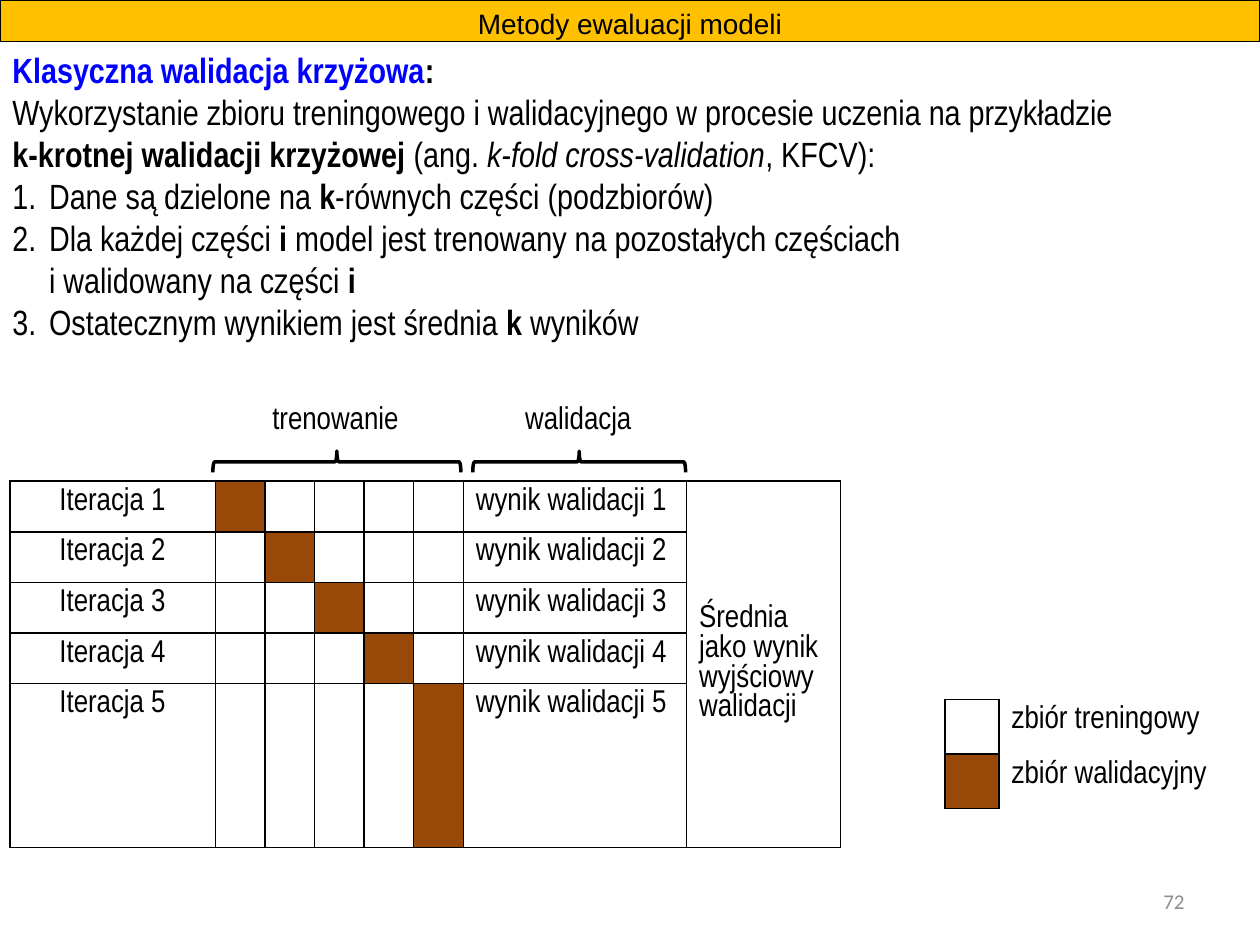
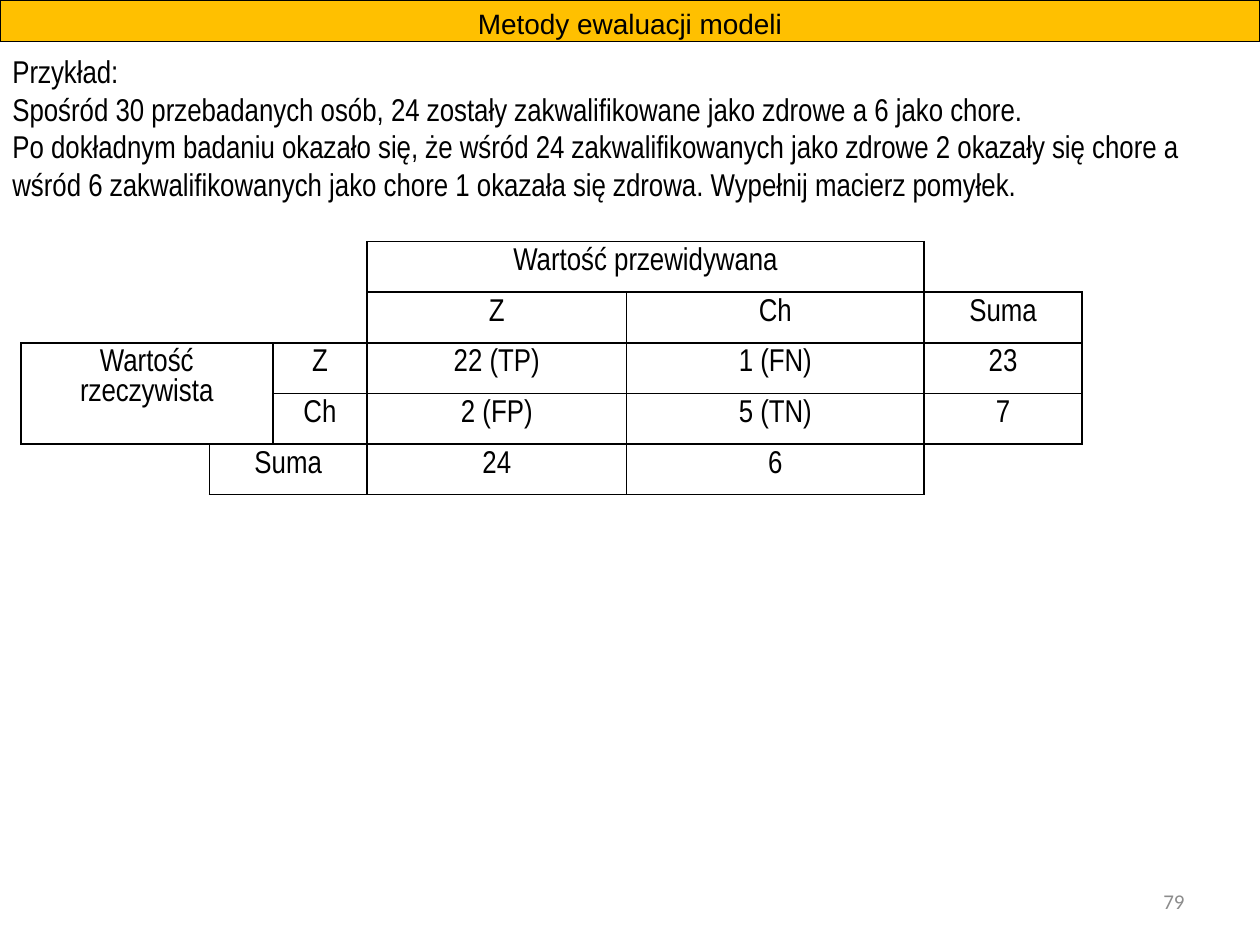
from lxml.etree import SubElement
from pptx import Presentation
from pptx.dml.color import RGBColor
from pptx.enum.shapes import MSO_SHAPE
from pptx.enum.text import MSO_ANCHOR, MSO_AUTO_SIZE, PP_ALIGN
from pptx.oxml.ns import qn
from pptx.util import Cm, Pt

COLORS = {
    "ink": "000000",
    "band": "FFC000",
    "heading": "0000FF",
    "validation": "984807",
    "page": "8C8C8C",
}
NO_STYLE = "{2D5ABB26-0587-4C30-8999-92F81FD0307C}"
BOLD = {"bold": True}
ITALIC = {"italic": True}
ROW = 1.02
FOLDS = 5


def rgb(name):
    return RGBColor.from_string(COLORS[name])


def number(paragraph):
    props = paragraph._p.get_or_add_pPr()
    props.set("marL", str(Cm(0.74)))
    props.set("indent", str(-Cm(0.74)))
    SubElement(props, qn("a:buFont"), typeface="+mj-lt")
    SubElement(props, qn("a:buAutoNum"), type="arabicPeriod")


def write(frame, text, size=18, font="Arial Narrow", color="ink",
          align=PP_ALIGN.LEFT, numbered_from=None):
    paragraphs = [text] if isinstance(text, str) else text
    for index, content in enumerate(paragraphs):
        paragraph = frame.paragraphs[0] if index == 0 else frame.add_paragraph()
        paragraph.alignment = align
        if numbered_from is not None and index >= numbered_from:
            number(paragraph)
        for part in [content] if isinstance(content, str) else content:
            words, style = (part, {}) if isinstance(part, str) else part
            for line_index, line in enumerate(words.split("\n")):
                if line_index:
                    paragraph.add_line_break()
                if not line:
                    continue
                run = paragraph.add_run()
                run.text = line
                run.font.name = font
                run.font.size = Pt(size)
                run.font.bold = style.get("bold", False)
                run.font.italic = style.get("italic", False)
                run.font.color.rgb = rgb(style.get("color", color))


def add_text(slide, left, top, width, height, text, inset=None,
             anchor=MSO_ANCHOR.TOP, **style):
    frame = slide.shapes.add_textbox(Cm(left), Cm(top), Cm(width), Cm(height)).text_frame
    frame.word_wrap = True
    frame.vertical_anchor = anchor
    if inset is not None:
        frame.margin_left = frame.margin_right = Cm(inset)
        frame.margin_top = frame.margin_bottom = Cm(inset)
    write(frame, text, **style)


def set_borders(cell, sides):
    props = cell._tc.get_or_add_tcPr()
    for side in "LRTB":
        line = SubElement(props, qn(f"a:ln{side}"), w=str(Pt(1)))
        if side in sides:
            fill = SubElement(line, qn("a:solidFill"))
            SubElement(fill, qn("a:srgbClr"), val=COLORS["ink"])
        else:
            SubElement(line, qn("a:noFill"))


def add_grid(slide, left, top, widths, heights, texts, shaded=(), borders=None,
             merges=(), left_columns=()):
    table = slide.shapes.add_table(
        len(heights), len(widths), Cm(left), Cm(top),
        Cm(sum(widths)), Cm(sum(heights))).table
    table.first_row = table.horz_banding = False
    table._tbl.tblPr.find(qn("a:tableStyleId")).text = NO_STYLE
    for column, width in zip(table.columns, widths):
        column.width = Cm(width)
    for row, height in zip(table.rows, heights):
        row.height = Cm(height)
    for r, row_texts in enumerate(texts):
        for c, text in enumerate(row_texts):
            cell = table.cell(r, c)
            set_borders(cell, (borders or {}).get((r, c), "LRTB"))
            if (r, c) in shaded:
                cell.fill.solid()
                cell.fill.fore_color.rgb = rgb("validation")
            else:
                cell.fill.background()
            if text:
                align = PP_ALIGN.LEFT if c in left_columns else PP_ALIGN.CENTER
                write(cell.text_frame, text, align=align)
    for first, last in merges:
        table.cell(*first).merge(table.cell(*last))
    return table


def add_brace(slide, left, width, middle=9.31, depth=0.43):
    brace = slide.shapes.add_shape(
        MSO_SHAPE.LEFT_BRACE, Cm(left + (width - depth) / 2),
        Cm(middle - width / 2), Cm(depth), Cm(width))
    brace.rotation = 90
    brace.shadow.inherit = False
    brace.fill.background()
    brace.line.color.rgb = rgb("ink")
    brace.line.width = Pt(2)


def add_slide(deck, page):
    slide = deck.slides.add_slide(deck.slide_layouts[5])
    band = slide.shapes.title
    band.left, band.top = Cm(0), Cm(0)
    band.width, band.height = deck.slide_width, Cm(0.84)
    band.fill.solid()
    band.fill.fore_color.rgb = rgb("band")
    band.line.color.rgb = rgb("ink")
    band.line.width = Pt(0.75)
    frame = band.text_frame
    frame.auto_size = MSO_AUTO_SIZE.NONE
    frame.vertical_anchor = MSO_ANCHOR.TOP
    frame.margin_top, frame.margin_bottom = Cm(0.13), Cm(0)
    write(frame, "Metody ewaluacji modeli", size=16, font="Arial", align=PP_ALIGN.CENTER)
    add_text(slide, 18.21, 17.65, 5.92, 1.02, page, anchor=MSO_ANCHOR.MIDDLE,
             size=12, font="Calibri", color="page", align=PP_ALIGN.RIGHT)
    return slide


def build_cross_validation(deck):
    slide = add_slide(deck, "72")
    add_text(slide, 0, 0.85, 24.77, 6.25, [
        [("Klasyczna walidacja krzyżowa", {"bold": True, "color": "heading"}), (":", BOLD)],
        ["Wykorzystanie zbioru treningowego i walidacyjnego w procesie uczenia na przykładzie \n",
         ("k-krotnej walidacji krzyżowej", BOLD), " (ang. ",
         ("k-fold cross-validation", ITALIC), ", KFCV):"],
        ["Dane są dzielone na ", ("k", BOLD), "-równych części (podzbiorów)"],
        ["Dla każdej części ", ("i", BOLD),
         " model jest trenowany na pozostałych częściach \ni walidowany na części ",
         ("i", BOLD)],
        ["Ostatecznym wynikiem jest średnia ", ("k", BOLD), " wyników"],
    ], size=20, numbered_from=2)

    iterations = [[f"Iteracja {i}"] + [""] * FOLDS + [f"wynik walidacji {i}", ""]
                  for i in range(1, FOLDS + 1)]
    average = FOLDS + 2
    iterations[0][average] = "Średnia jako wynik wyjściowy walidacji"
    folds = add_grid(
        slide, 0.2, 9.7, [4.14] + [1] * FOLDS + [4.5, 3.1],
        [ROW] * (FOLDS - 1) + [3.28], iterations,
        shaded=[(i, i + 1) for i in range(FOLDS)],
        merges=[((0, average), (FOLDS - 1, average))],
        left_columns=(average - 1, average))
    folds.cell(0, average).vertical_anchor = MSO_ANCHOR.MIDDLE

    add_grid(slide, 19.05, 14.1, [1.09, 4.7], [1.1, 1.1],
             [["", "zbiór treningowy"], ["", "zbiór walidacyjny"]],
             shaded=[(1, 0)], borders={(0, 1): "L", (1, 1): "L"}, left_columns=(1,))

    add_text(slide, 5.44, 7.98, 2.74, 0.89, "trenowanie", inset=0.05)
    add_text(slide, 10.29, 7.98, 2.74, 0.89, "walidacja", inset=0.05, align=PP_ALIGN.CENTER)
    add_brace(slide, 4.29, 5)
    add_brace(slide, 9.53, 4.29)


def build_confusion_matrix(deck):
    slide = add_slide(deck, "79")
    add_text(slide, 0, 0.92, 24.77, 3.33, [
        "Przykład:",
        "Spośród 30 przebadanych osób, 24 zostały zakwalifikowane jako zdrowe a 6 jako chore.",
        "Po dokładnym badaniu okazało się, że wśród 24 zakwalifikowanych jako zdrowe "
        "2 okazały się chore a wśród 6 zakwalifikowanych jako chore 1 okazała się zdrowa. "
        "Wypełnij macierz pomyłek.",
    ])

    left, top = 0.42, 4.87
    headers, predicted, total = [5.08, 1.9], [5.23, 6], 3.18
    values_left = left + sum(headers)
    totals_left = values_left + sum(predicted)
    values_top, totals_top = top + 2 * ROW, top + 4 * ROW

    add_grid(slide, left, top, headers + predicted, [ROW] * 4, [
        ["", "", "Wartość przewidywana", ""],
        ["", "", "Z", "Ch"],
        [["Wartość", "rzeczywista"], "Z", "", ""],
        ["", "Ch", "", ""],
    ], borders={(0, 0): "", (0, 1): "R", (1, 0): "B", (1, 1): "RB"},
        merges=[((0, 2), (0, 3)), ((2, 0), (3, 0))])
    add_grid(slide, values_left, values_top, predicted, [ROW] * 2,
             [["22 (TP)", "1 (FN)"], ["2 (FP)", "5 (TN)"]])
    add_grid(slide, totals_left, top + ROW, [total], [ROW], [["Suma"]])
    add_grid(slide, totals_left, values_top, [total], [ROW] * 2, [["23"], ["7"]])
    add_grid(slide, values_left - total, totals_top, [total], [ROW], [["Suma"]])
    add_grid(slide, values_left, totals_top, predicted, [ROW], [["24", "6"]])


def main():
    deck = Presentation()
    deck.slide_width, deck.slide_height = Cm(25.4), Cm(19.05)
    build_cross_validation(deck)
    build_confusion_matrix(deck)
    deck.save("out.pptx")


if __name__ == "__main__":
    main()
